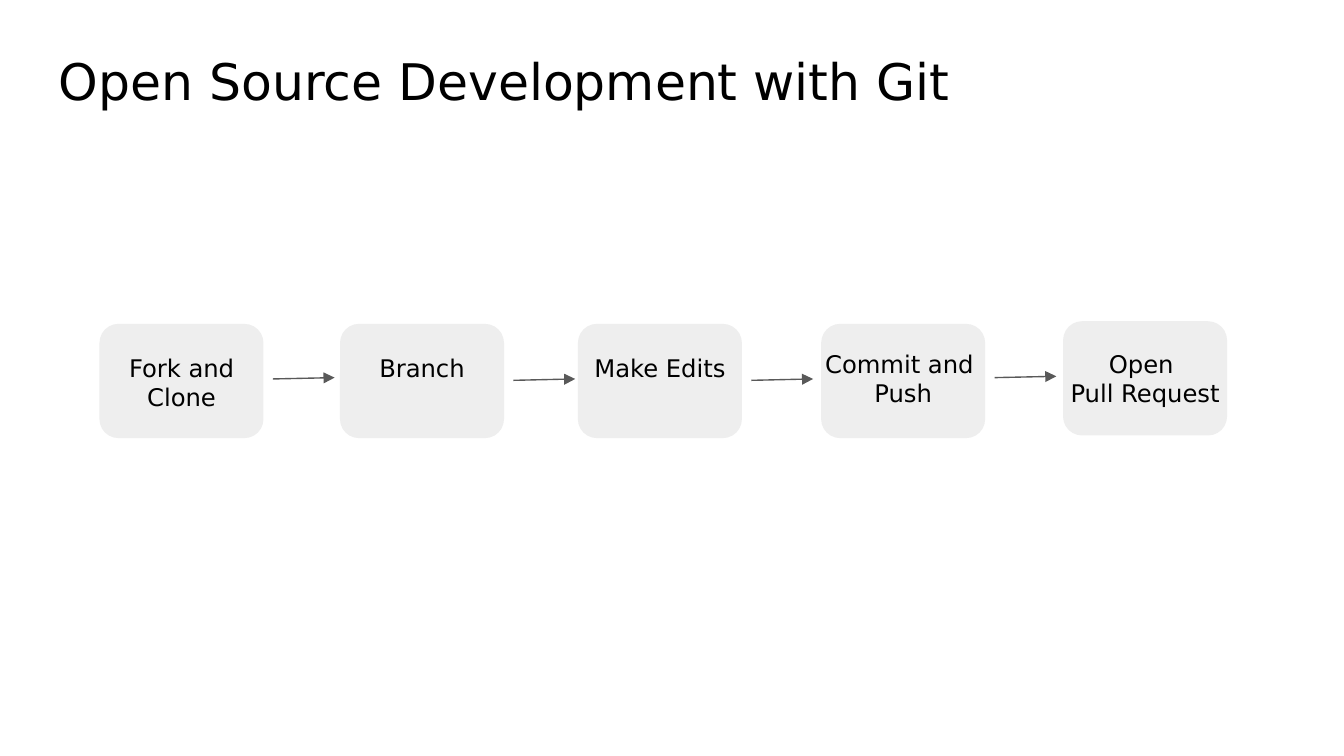
"""Build a slide showing the five steps of open source development with Git."""
from dataclasses import dataclass

from pptx import Presentation
from pptx.dml.color import RGBColor
from pptx.enum.shapes import MSO_CONNECTOR, MSO_SHAPE
from pptx.enum.text import MSO_ANCHOR as ANCHOR, PP_ALIGN as ALIGN
from pptx.oxml.ns import qn
from pptx.util import Inches, Pt
from lxml.etree import SubElement

TITLE = "Open Source Development with Git"
STEPS = [
    {"lines": ["Fork and Clone"], "left": 0.74, "top": 2.41, "label_top": 2.53, "label_w": 1.29, "arrow_y": 2.82},
    {"lines": ["Branch"], "left": 2.53, "top": 2.41, "label_top": 2.53, "label_w": 1.76, "arrow_y": 2.83},
    {"lines": ["Make Edits"], "left": 4.3, "top": 2.41, "label_top": 2.53, "label_w": 1.76, "arrow_y": 2.83},
    {"lines": ["Commit and ", "Push"], "left": 6.11, "top": 2.41, "label_top": 2.5, "label_w": 1.76, "arrow_y": 2.81},
    {"lines": ["Open ", "Pull Request"], "left": 7.91, "top": 2.39, "label_top": 2.5, "label_w": 1.76},
]
SLIDE_W = 10
SLIDE_H = SLIDE_W * 9 / 16
CARD_W, CARD_H, LABEL_H = 1.22, 0.85, 0.55
ARROW_GAP, ARROW_W, ARROW_RISE = 0.07, 0.46, 0.01
INSET = 0.1


@dataclass(frozen=True)
class Theme:
    font: str = "DejaVu Sans"
    text: RGBColor = RGBColor(0x00, 0x00, 0x00)
    card: RGBColor = RGBColor(0xEE, 0xEE, 0xEE)
    arrow: RGBColor = RGBColor(0x59, 0x59, 0x59)
    title_size: int = 27
    label_size: int = 13
    arrow_width: float = 0.75


THEME = Theme()


def add_text(s, lines, box, size, align, anchor):
    tf = s.shapes.add_textbox(*map(Inches, box)).text_frame
    tf.word_wrap = True
    tf.vertical_anchor = anchor
    tf.margin_left = tf.margin_right = tf.margin_top = tf.margin_bottom = Inches(INSET)
    tf.text = "\n".join(lines)
    for p in tf.paragraphs:
        p.alignment = align
        p.font.name = THEME.font
        p.font.size = Pt(size)
        p.font.color.rgb = THEME.text


def add_card(s, step):
    box = step["left"], step["top"], CARD_W, CARD_H
    sp = s.shapes.add_shape(MSO_SHAPE.ROUNDED_RECTANGLE, *map(Inches, box))
    sp.shadow.inherit = False
    sp.fill.solid()
    sp.fill.fore_color.rgb = THEME.card
    sp.line.fill.background()


def add_label(s, step):
    left = step["left"] + (CARD_W - step["label_w"]) / 2
    box = left, step["label_top"], step["label_w"], LABEL_H
    add_text(s, step["lines"], box, THEME.label_size, ALIGN.CENTER, ANCHOR.TOP)


def add_arrow(s, step):
    x, y = step["left"] + CARD_W + ARROW_GAP, step["arrow_y"]
    ends = x, y, x + ARROW_W, y - ARROW_RISE
    arrow = s.shapes.add_connector(MSO_CONNECTOR.STRAIGHT, *map(Inches, ends))
    arrow.line.color.rgb = THEME.arrow
    arrow.line.width = Pt(THEME.arrow_width)
    SubElement(arrow.line._get_or_add_ln(), qn("a:tailEnd"), type="triangle")
    SubElement(arrow._element.spPr, qn("a:effectLst"))


def main():
    prs = Presentation()
    prs.slide_width, prs.slide_height = Inches(SLIDE_W), Inches(SLIDE_H)
    s = prs.slides.add_slide(prs.slide_layouts[6])
    add_text(s, [TITLE], (0.34, 0.23, 9.32, 0.69), THEME.title_size, ALIGN.LEFT, ANCHOR.BOTTOM)
    for step in STEPS:
        add_card(s, step)
    for step in STEPS:
        add_label(s, step)
    for step in STEPS[:-1]:
        add_arrow(s, step)
    prs.save("out.pptx")


if __name__ == "__main__":
    main()
